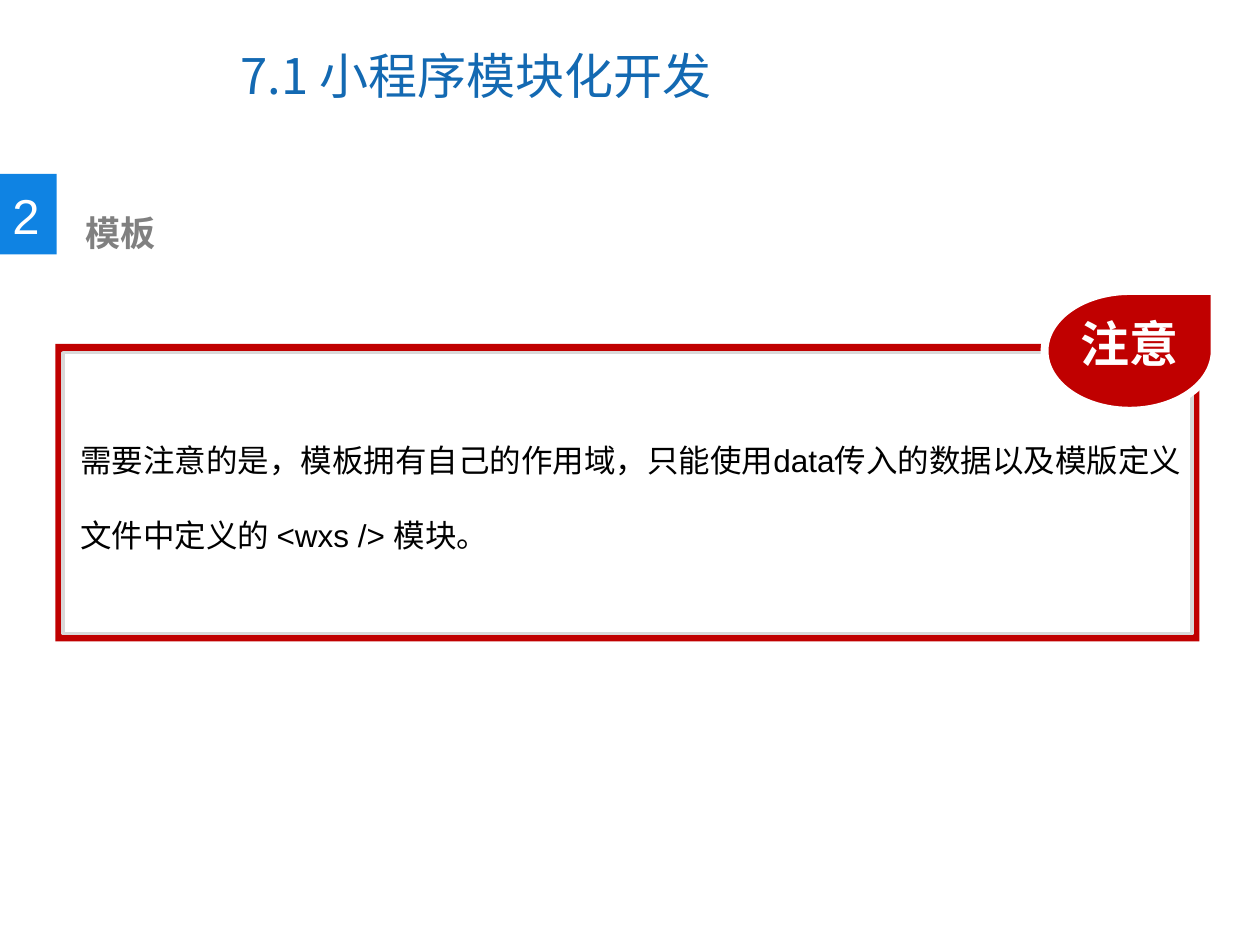
from lxml import etree
from pptx import Presentation
from pptx.dml.color import RGBColor
from pptx.enum.shapes import MSO_SHAPE
from pptx.enum.text import MSO_ANCHOR, PP_ALIGN
from pptx.oxml.ns import qn
from pptx.util import Inches, Pt

RECT, TEARDROP = MSO_SHAPE.RECTANGLE, MSO_SHAPE.TEAR
TOP, MIDDLE = MSO_ANCHOR.TOP, MSO_ANCHOR.MIDDLE
LEFT = PP_ALIGN.LEFT

RED = RGBColor(0xC0, 0x00, 0x00)
BLUE = RGBColor(0x0F, 0x83, 0xE3)
TITLE_BLUE = RGBColor(0x13, 0x69, 0xB2)
GREY = RGBColor(0x80, 0x80, 0x80)
LIGHT_GREY = RGBColor(0xD9, 0xD9, 0xD9)
WHITE = RGBColor(0xFF, 0xFF, 0xFF)
BLACK = RGBColor(0x00, 0x00, 0x00)
LATIN, CJK = "Arial", "Noto Sans CJK SC"

prs = Presentation()
prs.slide_width, prs.slide_height = Inches(10), Inches(7.5)
s = prs.slides.add_slide(prs.slide_layouts[5])


def place(x, y, w, h):
    """Turn percentages of the slide's width and height into lengths."""
    col, row = prs.slide_width / 100, prs.slide_height / 100
    return int(x * col), int(y * row), int(w * col), int(h * row)


def write(sp, text, size, color, font=LATIN, bold=False, wrap=True,
          anchor=TOP, spacing=1.0):
    tf = sp.text_frame
    tf.word_wrap = wrap
    tf.vertical_anchor = anchor
    p = tf.paragraphs[0]
    p.alignment = LEFT
    p.line_spacing = spacing
    r = p.add_run()
    r.text = text
    r.font.size, r.font.bold, r.font.name = Pt(size), bold, font
    r.font.color.rgb = color
    ea = etree.SubElement(r.font._element, qn("a:ea"))
    ea.set("typeface", CJK)


# Red frame, white panel, note badge and number tile
for kind, area, fill, line, width in (
    (RECT, (4.4, 36.4, 90.8, 31.47), RED, None, 0),
    (RECT, (5, 37.33, 89.6, 29.73), WHITE, LIGHT_GREY, 2),
    (TEARDROP, (82.9, 30.8, 13.5, 12.67), RED, WHITE, 4.5),
    (RECT, (0, 18.4, 4.5, 8.53), BLUE, None, 0),
):
    sp = s.shapes.add_shape(kind, *place(*area))
    sp.shadow.inherit = False
    sp.fill.solid()
    sp.fill.fore_color.rgb = fill
    if line is None:
        sp.line.fill.background()
    else:
        sp.line.color.rgb = line
        sp.line.width = Pt(width)

title = s.shapes.title
title.left, title.top, title.width, title.height = place(18.1, 2.27, 51.6, 11.33)
write(title, "7.1 ", 28, TITLE_BLUE, font=CJK, anchor=MIDDLE)
write(title, "小程序模块化开发", 28, TITLE_BLUE, anchor=MIDDLE)

number = s.shapes.add_textbox(*place(0, 18.93, 4.2, 7.6))
write(number, "2", 28, WHITE, wrap=False)

heading = s.shapes.add_textbox(*place(4.7, 21.73, 51.4, 5.87))
heading.text_frame.margin_left = Inches(0.21)
write(heading, "模板", 20, GREY, bold=True)

badge = s.shapes.add_textbox(*place(84.8, 32.53, 9.9, 7.6))
write(badge, "注意", 28, WHITE, font=CJK, bold=True, wrap=False)

note = s.shapes.add_textbox(*place(5.4, 42, 90.1, 17.47))
write(note, "需要注意的是，模板拥有自己的作用域，只能使用data传入的数据以及模版定义文件中定义的 <wxs /> 模块。",
      18, BLACK, spacing=2.0)

prs.save("out.pptx")
